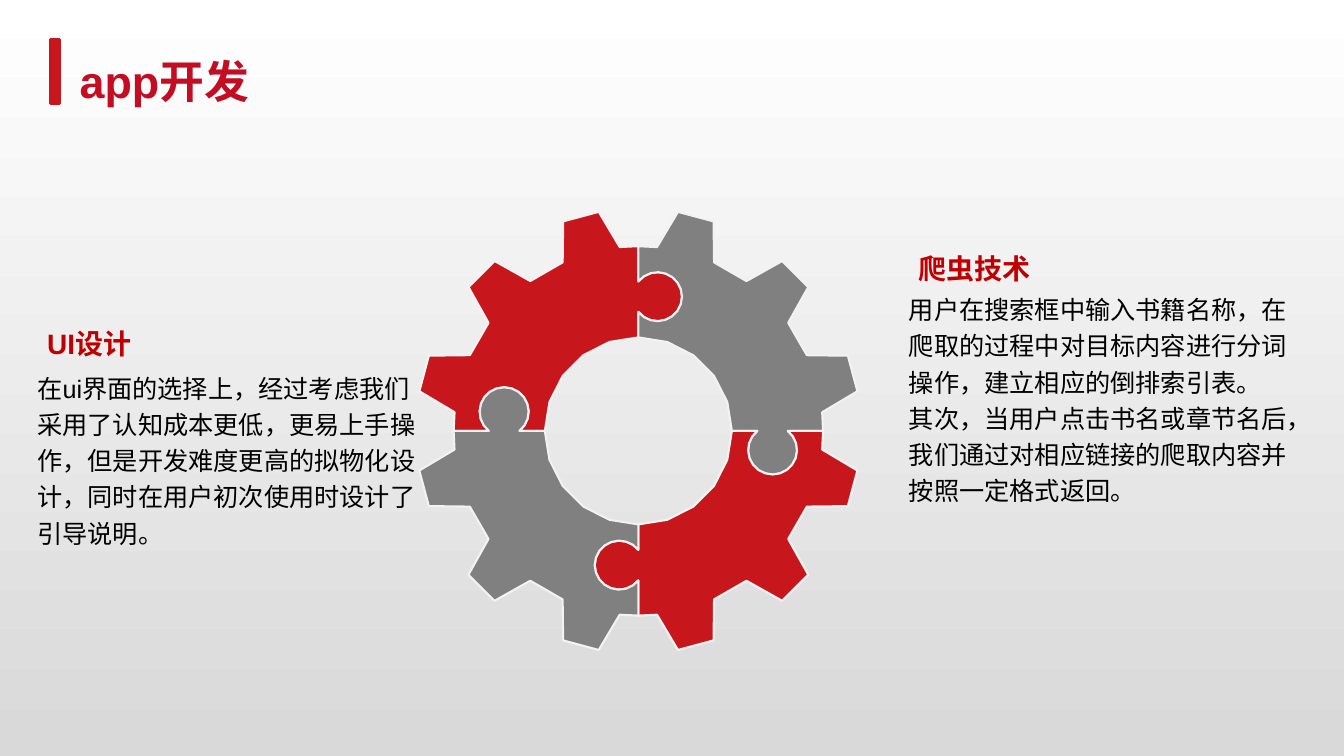
import math

import pptx
import pptx.dml.color
import pptx.enum.shapes
import pptx.enum.text
import pptx.util

CELL = pptx.util.Inches(1) // 12
COLUMNS, ROWS = 160, 90
RED, GREY, EDGE = "C8161D", "808080", "F2F2F2"
TITLE_RED, HEADING_RED, BLACK = "C30D23", "C00000", "000000"
TEETH_PER_PIECE = 3
ARC_STEP = 18


def cells(*lengths):
    """Turn grid lengths into slide lengths."""
    return [pptx.util.Emu(round(length * CELL)) for length in lengths]


def colour(code):
    """Turn a hex string into a colour."""
    return pptx.dml.color.RGBColor.from_string(code)


def paint(shape, fill, line, width):
    """Fill and outline a shape, without a shadow."""
    shape.shadow.inherit = False
    shape.fill.solid()
    shape.fill.fore_color.rgb = colour(fill)
    shape.line.color.rgb = colour(line)
    shape.line.width = pptx.util.Pt(width)


def write(box, text, size=18, code=BLACK, bold=False, spacing=1.0, inset=None):
    """Write one paragraph per line of text into a box."""
    frame = box.text_frame
    frame.word_wrap = True
    frame.auto_size = pptx.enum.text.MSO_AUTO_SIZE.NONE
    frame.vertical_anchor = pptx.enum.text.MSO_ANCHOR.TOP
    if inset is not None:
        frame.margin_left = frame.margin_right = inset
        frame.margin_top = frame.margin_bottom = inset
    for index, line in enumerate(text.split("\n")):
        para = frame.add_paragraph() if index else frame.paragraphs[0]
        para.alignment = pptx.enum.text.PP_ALIGN.LEFT
        para.line_spacing = spacing
        span = para.add_run()
        span.text = line
        span.font.name = "Arial"
        span.font.size = pptx.util.Pt(size)
        span.font.bold = bold
        span.font.color.rgb = colour(code)


def add_background(page):
    """Shade the page from white down to light grey."""
    fill = page.background.fill
    fill.gradient()
    fill.gradient_angle = 270
    for stop, code, position in zip(fill.gradient_stops, ("FFFFFF", "D9D9D9"), (0, 0.99)):
        stop.color.rgb = colour(code)
        stop.position = position


def add_header(page, left, top, width, height):
    """Place the accent bar and the title beside it."""
    bar = page.shapes.add_shape(
        pptx.enum.shapes.MSO_SHAPE.RECTANGLE, *cells(left, top, 1.08, height))
    paint(bar, RED, RED, 2)
    title = page.shapes.title
    title.left, title.top, title.width, title.height = cells(
        left + 2.28, top + 1.08, width - 2.28, height)
    write(title, "app开发", size=32, code=TITLE_RED, bold=True)


def arc(radius, start, end, across=0, down=0):
    """List points along an arc, with angles in degrees clockwise from the right."""
    steps = math.ceil(abs(end - start) / ARC_STEP)
    angles = [math.radians(start + (end - start) * step / steps) for step in range(steps + 1)]
    return [(across + radius * math.cos(angle), down + radius * math.sin(angle))
            for angle in angles]


def piece_outline():
    """Outline the upper left gear piece in shares of the tooth radius."""
    root, hole, knob, shift, reach = 0.83, 0.42, 0.11, 0.086, 0.603
    neck = math.degrees(math.acos(shift / knob))
    pitch = 90 / TEETH_PER_PIECE
    points = arc(knob, 90 - neck, neck - 270, -reach, -shift)
    angle = 180
    for tooth in range(TEETH_PER_PIECE):
        middle = 180 + pitch * (tooth + 0.5)
        points += arc(root, angle, middle - 9.2)
        points += arc(1, middle - 4.75, middle + 4.75)
        angle = middle + 9.2
    points += arc(root, angle, 270)
    points += arc(knob, 180 + neck, 540 - neck, shift, -reach)
    return points + arc(hole, 270, 180)


def add_gear(page, left, top, size):
    """Build the puzzle gear from one piece turned through four quarters."""
    radius = size / 2
    group = page.shapes.add_group_shape()
    points = piece_outline()
    for code in (RED, GREY, RED, GREY):
        spots = [cells(left + radius * (1 + x), top + radius * (1 + y)) for x, y in points]
        builder = group.shapes.build_freeform(*spots[0], scale=1.0)
        builder.add_line_segments(spots[1:], close=True)
        paint(builder.convert_to_shape(), code, EDGE, 1.5)
        points = [(-y, x) for x, y in points]


def add_panel(page, left, top, width, height, heading, body, offset):
    """Place a heading with its body text the given rows below."""
    text = page.shapes.add_textbox(*cells(left, top + offset, width, height - offset))
    write(text, body, spacing=1.2, inset=0)
    label = page.shapes.add_textbox(*cells(left, top, 25.8, 5.28))
    write(label, heading, size=20, code=HEADING_RED, bold=True)


def build():
    """Build the deck and save it."""
    deck = pptx.Presentation()
    deck.slide_width, deck.slide_height = cells(COLUMNS, ROWS)
    page = deck.slides.add_slide(deck.slide_layouts.get_by_name("Title Only"))
    add_background(page)
    add_header(page, 6, 4.68, 25.08, 7.6)
    add_gear(page, 49.5, 24.8, 53)
    add_panel(
        page, 4.44, 38.28, 45.48, 26.9, "UI设计",
        "在ui界面的选择上，经过考虑我们采用了认知成本更低，更易上手操作，"
        "但是开发难度更高的拟物化设计，同时在用户初次使用时设计了引导说明。", 5.4)
    add_panel(
        page, 108.2, 29.4, 45.48, 34.9, "爬虫技术",
        "用户在搜索框中输入书籍名称，在爬取的过程中对目标内容进行分词操作，建立相应的倒排索引表。\n"
        "其次，当用户点击书名或章节名后，我们通过对相应链接的爬取内容并按照一定格式返回。", 4.92)
    deck.save("out.pptx")


build()
